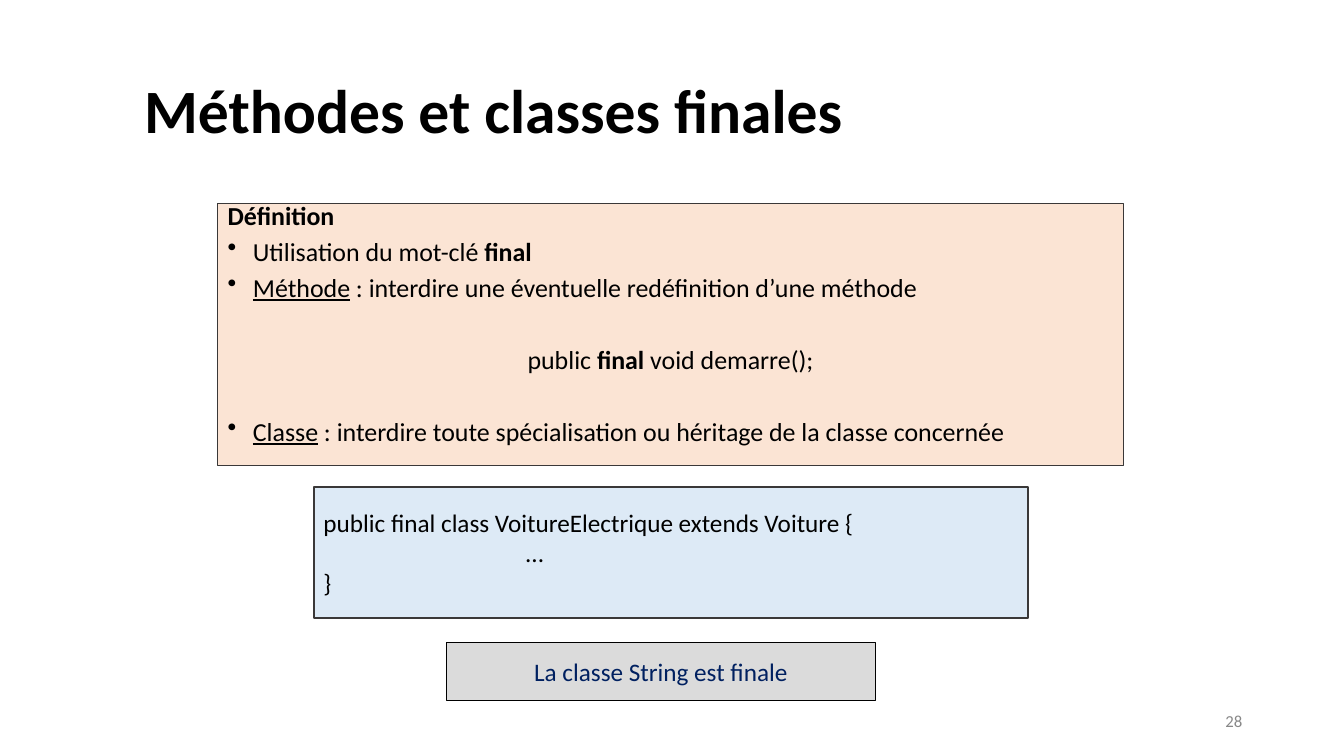
from lxml import etree
from pptx import Presentation
from pptx.dml.color import RGBColor
from pptx.enum import shapes, text
from pptx.oxml.ns import qn
from pptx.util import Inches, Pt

BLACK = RGBColor(0x00, 0x00, 0x00)
GREY = RGBColor(0x88, 0x88, 0x88)
NAVY = RGBColor(0x00, 0x20, 0x60)
CHARCOAL = RGBColor(0x3A, 0x38, 0x38)
PEACH = RGBColor(0xFB, 0xE4, 0xD4)
PALE_BLUE = RGBColor(0xDD, 0xEA, 0xF6)
SILVER = RGBColor(0xDB, 0xDB, 0xDB)
LEFT, CENTER, RIGHT = text.PP_ALIGN.LEFT, text.PP_ALIGN.CENTER, text.PP_ALIGN.RIGHT
TOP, MIDDLE = text.MSO_ANCHOR.TOP, text.MSO_ANCHOR.MIDDLE

deck = Presentation()
deck.slide_width, deck.slide_height = Inches(13.33), Inches(7.5)
page = deck.slides.add_slide(deck.slide_layouts[6])


def add_box(place, anchor, fill=None, line=None, line_width=0.75):
    """Add a text box, or a filled rectangle when a fill is given; return its text frame."""
    place = [Inches(length) for length in place]
    if fill is None:
        box = page.shapes.add_textbox(*place)
    else:
        box = page.shapes.add_shape(shapes.MSO_SHAPE.RECTANGLE, *place)
        box.shadow.inherit = False
        box.fill.solid()
        box.fill.fore_color.rgb = fill
        box.line.color.rgb = line
        box.line.width = Pt(line_width)
    frame = box.text_frame
    frame.word_wrap = True
    frame.vertical_anchor = anchor
    return frame


def write(frame, number, spans, size, color=BLACK, align=LEFT):
    """Fill paragraph `number` with (text, style) spans; styles: b bold, u underlined."""
    para = frame.paragraphs[0] if number == 0 else frame.add_paragraph()
    para.alignment = align
    para.font.name = "Calibri"
    para.font.size = Pt(size)
    para.font.color.rgb = color
    for words, style in spans:
        span = para.add_run()
        span.text = words
        if style == "b":
            span.font.bold = True
        elif style == "u":
            span.font.underline = True
    return para


# Title and page number
title = add_box((0.92, 0.75, 11.5, 1.45), TOP)
title.margin_left = Inches(0.51)
write(title, 0, [("Méthodes et classes finales", "b")], 44).line_spacing = 0.9

page_number = add_box((9.42, 6.95, 3, 0.4), MIDDLE)
write(page_number, 0, [("28", "")], 12, GREY, RIGHT)

# Definition: spans, alignment, bulleted, space before in points
definition_lines = [
    ([("Définition", "b")], LEFT, False, 0),
    ([("Utilisation du mot-clé ", ""), ("final", "b")], LEFT, True, 10),
    ([("Méthode", "u"), (" : interdire une éventuelle redéfinition d’une méthode", "")],
     LEFT, True, 10),
    ([("public ", ""), ("final ", "b"), ("void demarre();", "")], CENTER, False, 35.8),
    ([("Classe", "u"),
      (" : interdire toute spécialisation ou héritage de la classe concernée", "")],
     LEFT, True, 35.8),
]
definition = add_box((2.16, 2.02, 8.98, 2.6), TOP, PEACH, CHARCOAL)
for number, (spans, align, bulleted, space) in enumerate(definition_lines):
    para = write(definition, number, spans, 18.5, align=align)
    para.line_spacing = 0.7
    para.space_before = Pt(space)
    if bulleted:
        properties = para._p.get_or_add_pPr()
        properties.set("marL", str(Inches(0.25)))
        properties.set("indent", str(Inches(-0.25)))
        bullet = etree.Element(qn("a:buChar"), char="•")
        properties.find(qn("a:defRPr")).addprevious(bullet)

# Remark on String
remark = add_box((4.43, 6.37, 4.25, 0.58), MIDDLE, SILVER, BLACK)
write(remark, 0, [("La classe String est finale", "")], 18, NAVY, CENTER)

# Code example, its body indented
code = add_box((3.11, 4.83, 7.09, 1.3), MIDDLE, PALE_BLUE, CHARCOAL, 1.5)
code_lines = [("public final class VoitureElectrique extends Voiture {", 0), ("...", 2), ("}", 0)]
for number, (words, indent) in enumerate(code_lines):
    para = write(code, number, [(words, "")], 18)
    para._p.get_or_add_pPr().set("marL", str(Inches(indent)))

deck.save("out.pptx")
